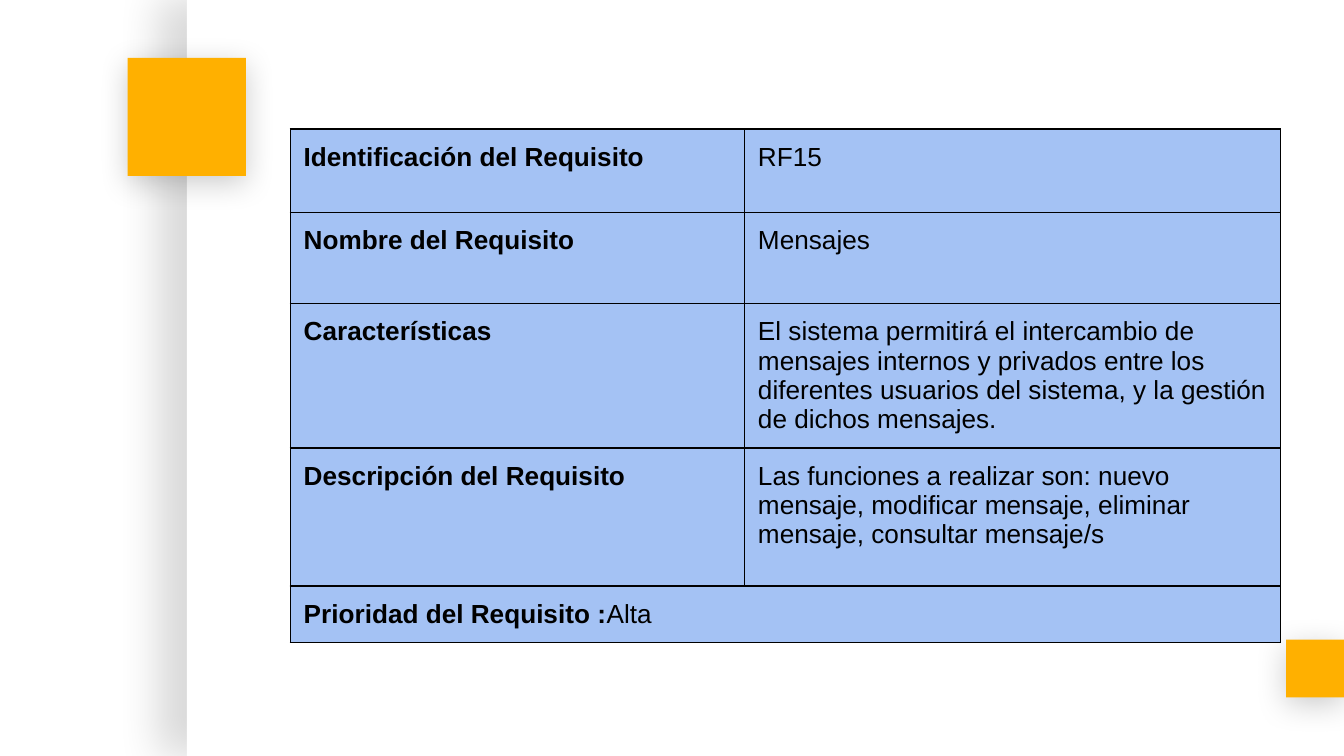
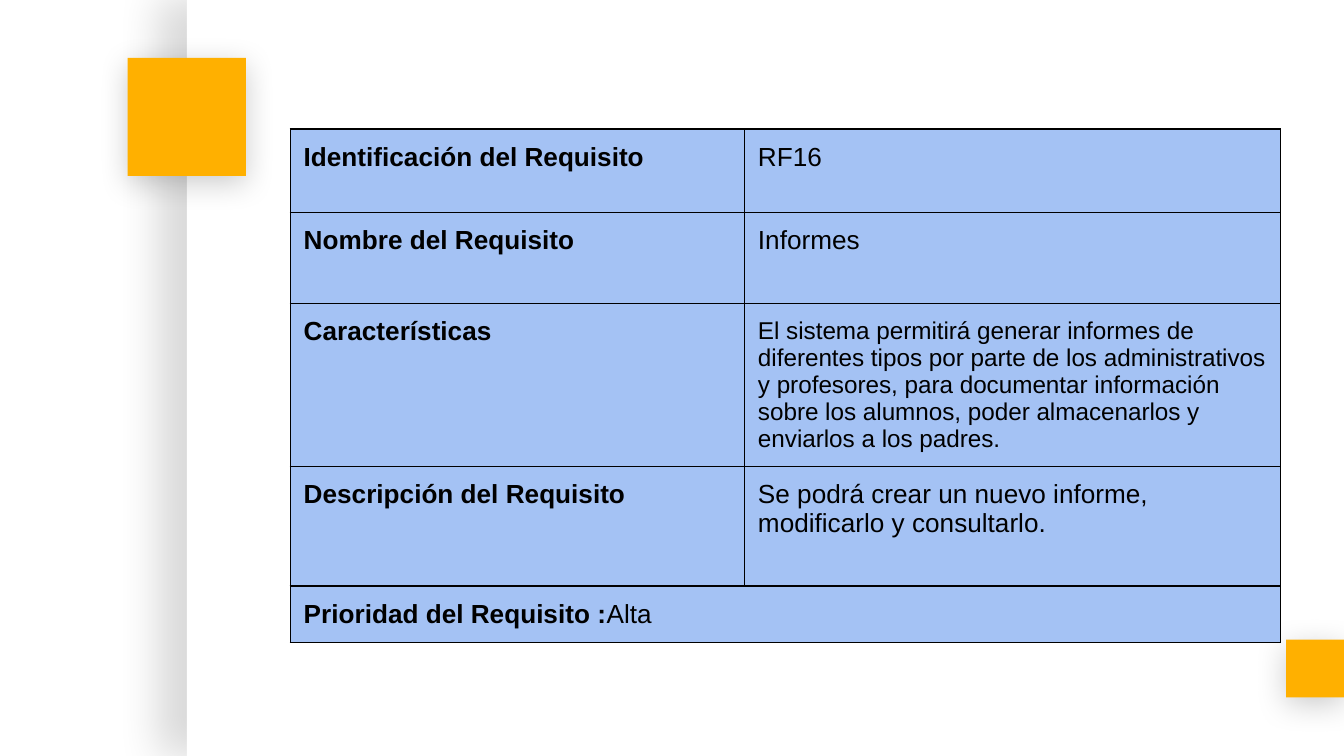
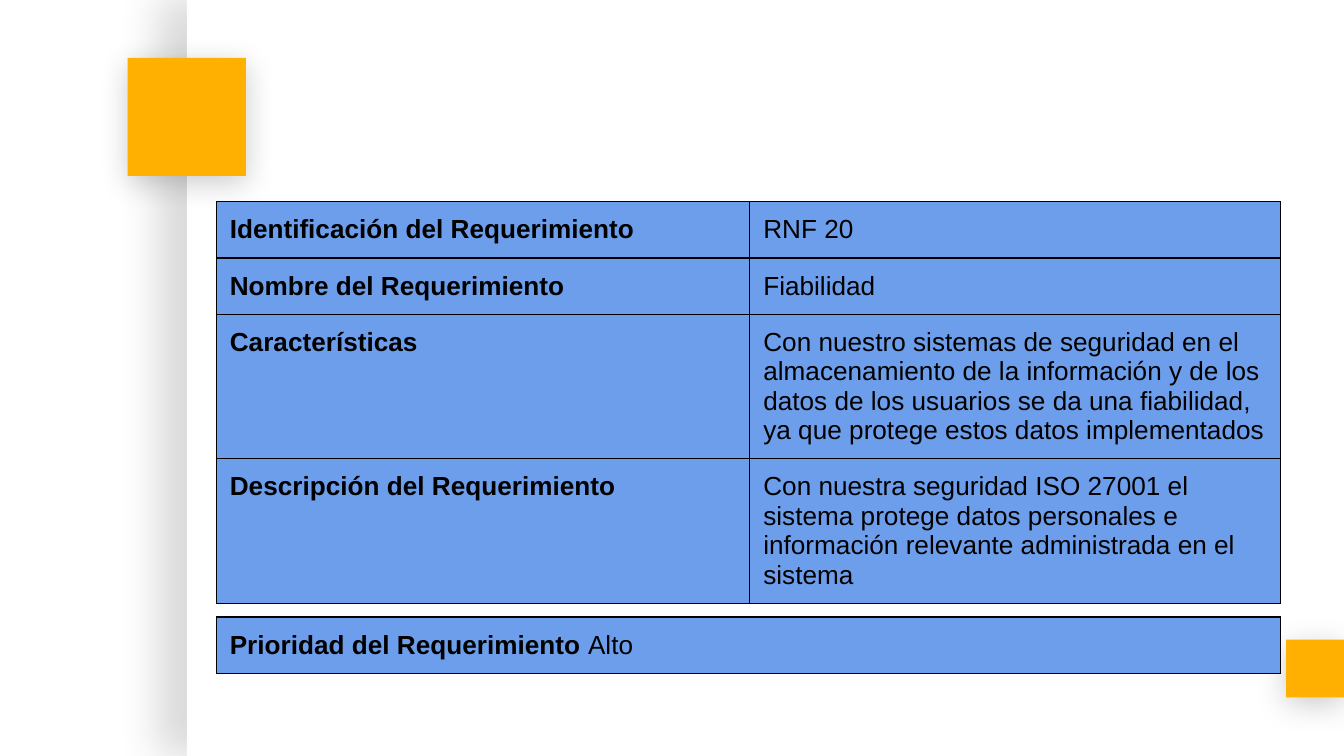
"""Build three requirement sheets with a shared yellow and white frame."""
from lxml import etree
from pptx import Presentation
from pptx import util as u
from pptx.dml.color import RGBColor
from pptx.enum import shapes
from pptx.oxml import parse_xml
from pptx.oxml.ns import nsdecls, qn

HUES = {"page": "FFFFFF", "gold": "FFB000", "ink": "000000",
        "sky": "A4C2F4", "blue": "6D9EEB"}
WIDE = 10
HIGH = WIDE * 9 / 16
FRAME = [
    (1.39, 0, 8.61, HIGH, "page", (15, 22.5, 15, 180)),
    (9.57, 4.76, 0.43, 0.43, "gold", (20, 16.9, 3.8, 90)),
    (0.95, 0.43, 0.88, 0.88, "gold", (20, 16.9, 3.8, 90)),
]
SHEETS = [
    dict(noun="Requisito", left=2.16, top=0.96, low=4.36, hue="sky",
         cols=(3.38, 3.99), rows=(0.62, 0.68, 1.07, 1.03), rank=(" :", "Alta"), sizes=(14, 14, 14, 14),
         facts=("RF15", "Mensajes",
                "El sistema permitirá el intercambio de mensajes internos y privados entre los "
                "diferentes usuarios del sistema, y la gestión de dichos mensajes.",
                "Las funciones a realizar son: nuevo mensaje, modificar mensaje, eliminar "
                "mensaje, consultar mensaje/s")),
    dict(noun="Requisito", left=2.16, top=0.96, low=4.36, hue="sky",
         cols=(3.38, 3.99), rows=(0.62, 0.68, 1.21, 0.89), rank=(" :", "Alta"), sizes=(14, 14, 13, 14),
         facts=("RF16", "Informes",
                "El sistema permitirá generar informes de diferentes tipos por parte de los "
                "administrativos y profesores, para documentar información sobre los alumnos, "
                "poder almacenarlos y enviarlos a los padres.",
                "Se podrá crear un nuevo informe, modificarlo y consultarlo.")),
    dict(noun="Requerimiento", left=1.61, top=1.5, low=4.59, hue="blue",
         cols=(3.97, 3.95), rows=(0.42, 0.42, 1.07, 1.07), rank=(" ", "Alto"), sizes=(14, 14, 14, 14),
         facts=("RNF 20", "Fiabilidad",
                "Con nuestro sistemas de seguridad en el almacenamiento de la información y de "
                "los datos de los usuarios se da una fiabilidad, ya que protege estos datos "
                "implementados",
                "Con nuestra seguridad ISO 27001 el sistema protege datos personales e "
                "información relevante administrada en el sistema")),
]


def fill_cell(cell, hue, size, *runs):
    cell.margin_left = cell.margin_right = u.Inches(0.1)
    cell.margin_top = cell.margin_bottom = u.Inches(0.1)
    para = cell.text_frame.paragraphs[0]
    para.font.name, para.font.size = "Arial", u.Pt(size)
    para.font.color.rgb = RGBColor.from_string(HUES["ink"])
    for words, bold in runs:
        run = para.add_run()
        run.text, run.font.bold = words, bold
    props = cell._tc.get_or_add_tcPr()
    for side in ("lnL", "lnR", "lnT", "lnB"):
        line = etree.SubElement(props, qn(f"a:{side}"), w=str(u.Pt(0.75)))
        paint = etree.SubElement(line, qn("a:solidFill"))
        etree.SubElement(paint, qn("a:srgbClr"), val=HUES["ink"])
    cell.fill.solid()
    cell.fill.fore_color.rgb = RGBColor.from_string(HUES[hue])


def add_grid(slide, left, top, cols, rows):
    grid = slide.shapes.add_table(
        len(rows), len(cols), u.Inches(left), u.Inches(top),
        u.Inches(sum(cols)), u.Inches(sum(rows))).table
    grid.first_row = grid.horz_banding = False
    for col, wide in zip(grid.columns, cols):
        col.width = u.Inches(wide)
    for row, high in zip(grid.rows, rows):
        row.height = u.Inches(high)
    return grid


deck = Presentation()
deck.slide_width, deck.slide_height = u.Inches(WIDE), u.Inches(HIGH)

for sheet in SHEETS:
    slide = deck.slides.add_slide(deck.slide_layouts[6])
    slide.background.fill.solid()
    slide.background.fill.fore_color.rgb = RGBColor.from_string(HUES["page"])

    for left, top, wide, high, hue, (alpha, blur, dist, turn) in FRAME:
        box = slide.shapes.add_shape(
            shapes.MSO_SHAPE.RECTANGLE, u.Inches(left), u.Inches(top),
            u.Inches(wide), u.Inches(high))
        box.fill.solid()
        box.fill.fore_color.rgb = RGBColor.from_string(HUES[hue])
        box.line.fill.background()
        box.shadow.inherit = False
        box._element.spPr.find(qn("a:effectLst")).append(parse_xml(
            f'<a:outerShdw {nsdecls("a")} blurRad="{u.Pt(blur)}" dist="{u.Pt(dist)}" '
            f'dir="{turn * 60000}" rotWithShape="0"><a:srgbClr val="{HUES["ink"]}">'
            f'<a:alpha val="{alpha * 1000}"/></a:srgbClr></a:outerShdw>'))

    noun, hue = sheet["noun"], sheet["hue"]
    names = (f"Identificación del {noun}", f"Nombre del {noun}",
             "Características", f"Descripción del {noun}")
    grid = add_grid(slide, sheet["left"], sheet["top"], sheet["cols"], sheet["rows"])
    for i, (name, fact, size) in enumerate(zip(names, sheet["facts"], sheet["sizes"])):
        fill_cell(grid.cell(i, 0), hue, 14, (name, True))
        fill_cell(grid.cell(i, 1), hue, size, (fact, False))

    mark, rank = sheet["rank"]
    foot = add_grid(slide, sheet["left"], sheet["low"], [sum(sheet["cols"])], [0.42])
    fill_cell(foot.cell(0, 0), hue, 14, (f"Prioridad del {noun}{mark}", True), (rank, False))

deck.save("out.pptx")
